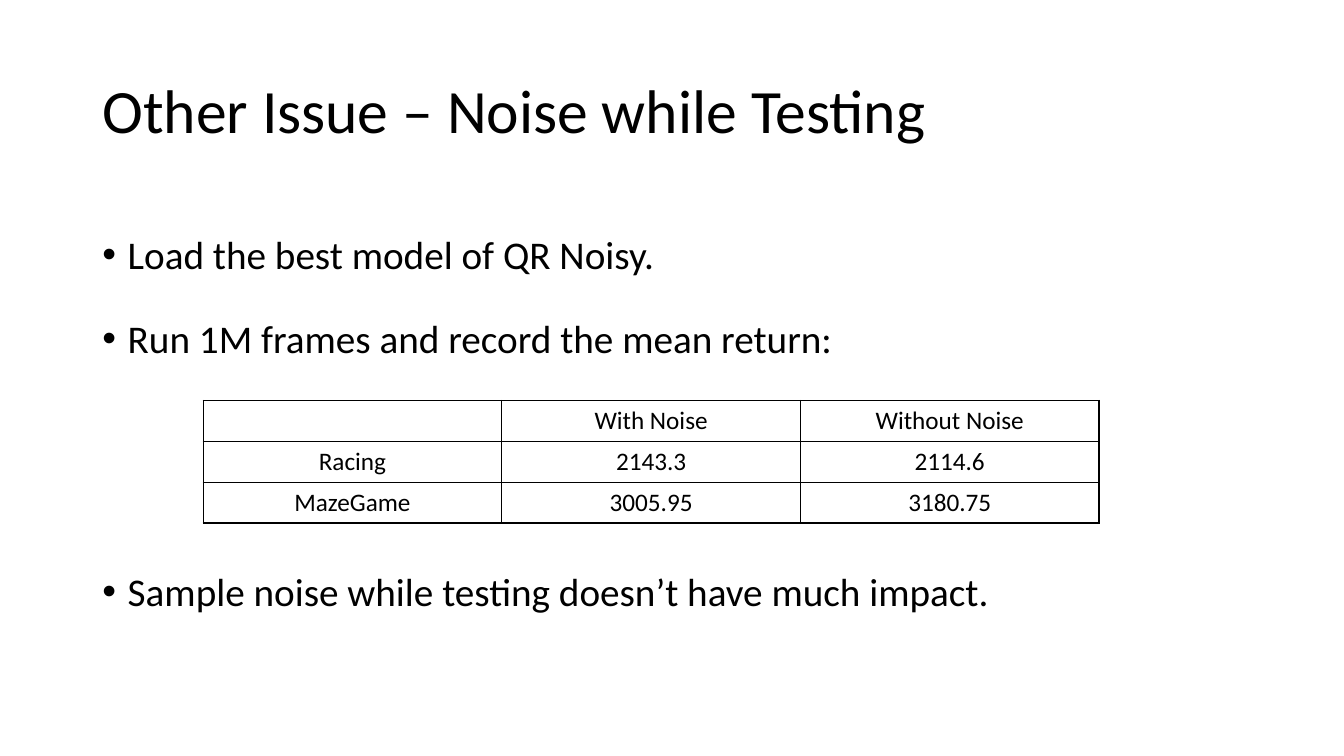
from lxml.etree import SubElement
from pptx import Presentation
from pptx.dml.color import RGBColor
from pptx.enum.text import MSO_ANCHOR, PP_ALIGN
from pptx.oxml.ns import qn
from pptx.util import Cm, Pt

COLORS = {"text": "000000", "border": "000000", "background": "FFFFFF"}
FONT = "Calibri"
INDENT = Cm(0.64)
BULLETS = [  # text, space before in points
    ("Load the best model of QR Noisy.", 0),
    ("Run 1M frames and record the mean return:", 10),
    ("Sample noise while testing doesn’t have much impact.", 130),
]
RETURNS = [
    ("", "With Noise", "Without Noise"),
    ("Racing", "2143.3", "2114.6"),
    ("MazeGame", "3005.95", "3180.75"),
]


def style_font(font, size):
    font.name = FONT
    font.size = Pt(size)
    font.color.rgb = RGBColor.from_string(COLORS["text"])


def add_text_frame(slide, box, anchor):
    text_frame = slide.shapes.add_textbox(*box).text_frame
    text_frame.word_wrap = True
    text_frame.vertical_anchor = anchor
    return text_frame


def add_title(slide, box, title):
    text_frame = add_text_frame(slide, box, MSO_ANCHOR.MIDDLE)
    text_frame.text = title
    paragraph = text_frame.paragraphs[0]
    paragraph.line_spacing = 0.9
    style_font(paragraph.runs[0].font, 44)


def add_bullets(slide, box, bullets):
    text_frame = add_text_frame(slide, box, MSO_ANCHOR.TOP)
    text_frame.text = "\n".join(text for text, _ in bullets)
    for paragraph, (_, space_before) in zip(text_frame.paragraphs, bullets):
        paragraph.line_spacing = 1.5
        paragraph.space_before = Pt(space_before)
        properties = paragraph._p.get_or_add_pPr()
        properties.set("marL", str(INDENT))
        properties.set("indent", str(-INDENT))
        SubElement(properties, qn("a:buFont")).set("typeface", "Arial")
        SubElement(properties, qn("a:buChar")).set("char", "•")
        style_font(paragraph.runs[0].font, 28)


def add_borders(cell):
    properties = cell._tc.get_or_add_tcPr()
    for side in ("lnL", "lnR", "lnT", "lnB"):
        line = SubElement(properties, qn(f"a:{side}"), w=str(Pt(1)))
        fill = SubElement(line, qn("a:solidFill"))
        SubElement(fill, qn("a:srgbClr"), val=COLORS["border"])


def add_returns_table(slide, box, rows):
    table = slide.shapes.add_table(len(rows), len(rows[0]), *box).table
    table.first_row = table.horz_banding = False
    for row_index, row in enumerate(rows):
        for column_index, text in enumerate(row):
            cell = table.cell(row_index, column_index)
            cell.text = text
            add_borders(cell)
            cell.fill.background()
            paragraph = cell.text_frame.paragraphs[0]
            paragraph.alignment = PP_ALIGN.CENTER
            style_font(paragraph.font, 18)
            for run in paragraph.runs:
                style_font(run.font, 18)


def add_noise_slide(presentation):
    slide = presentation.slides.add_slide(presentation.slide_layouts[6])
    slide.background.fill.solid()
    slide.background.fill.fore_color.rgb = RGBColor.from_string(COLORS["background"])
    left, width = Cm(2.33), Cm(29.21)
    add_title(slide, (left, Cm(1.01), width, Cm(3.68)), "Other Issue – Noise while Testing")
    add_bullets(slide, (left, Cm(5.08), width, Cm(12.09)), BULLETS)
    add_returns_table(slide, (Cm(5.12), Cm(10.09), Cm(22.58), Cm(3.09)), RETURNS)


def main():
    presentation = Presentation()
    presentation.slide_width = Cm(33.87)
    presentation.slide_height = Cm(19.05)
    add_noise_slide(presentation)
    presentation.save("out.pptx")


if __name__ == "__main__":
    main()
